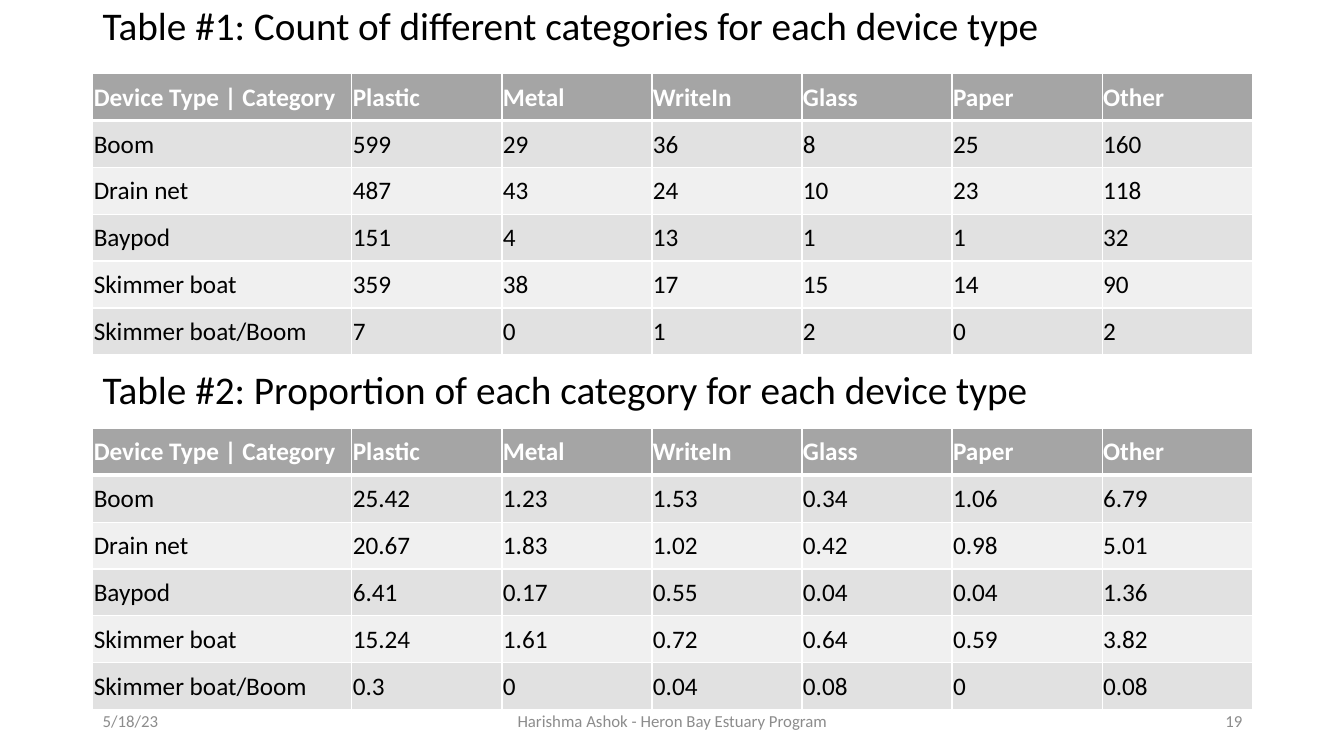
import pptx
import pptx.dml.color
import pptx.enum.text
import pptx.oxml
import pptx.oxml.ns
import pptx.util

Inches = pptx.util.Inches
Pt = pptx.util.Pt
Align = pptx.enum.text.PP_ALIGN
Anchor = pptx.enum.text.MSO_ANCHOR

FONT = "Calibri"
COLORS = {
    "title": "000000",
    "body": "000000",
    "footer": "8C8C8C",
    "header_text": "FFFFFF",
    "header": "A5A5A5",
    "odd_row": "E1E1E1",
    "even_row": "F0F0F0",
    "border": "FFFFFF",
}

LEFT, WIDTH = 0.92, 11.5
TABLE_HEIGHT = 2.79
DEVICE_WIDTH = 2.57

HEADINGS = ["Device Type | Category", "Plastic", "Metal", "WriteIn", "Glass", "Paper", "Other"]
DEVICES = ["Boom", "Drain net", "Baypod", "Skimmer boat", "Skimmer boat/Boom"]
COUNTS = [
    ["599", "29", "36", "8", "25", "160"],
    ["487", "43", "24", "10", "23", "118"],
    ["151", "4", "13", "1", "1", "32"],
    ["359", "38", "17", "15", "14", "90"],
    ["7", "0", "1", "2", "0", "2"],
]
PROPORTIONS = [
    ["25.42", "1.23", "1.53", "0.34", "1.06", "6.79"],
    ["20.67", "1.83", "1.02", "0.42", "0.98", "5.01"],
    ["6.41", "0.17", "0.55", "0.04", "0.04", "1.36"],
    ["15.24", "1.61", "0.72", "0.64", "0.59", "3.82"],
    ["0.3", "0", "0.04", "0.08", "0", "0.08"],
]


def color(name):
    return pptx.dml.color.RGBColor.from_string(COLORS[name])


def add_span(para, text, size, color_name, bold=False):
    span = para.add_run()
    span.text = text
    span.font.name = FONT
    span.font.size = Pt(size)
    span.font.bold = bold
    span.font.color.rgb = color(color_name)


def add_text(page, box, text, size, color_name, align=Align.LEFT, spacing=1.0):
    frame = page.shapes.add_textbox(*map(Inches, box)).text_frame
    frame.word_wrap = True
    frame.vertical_anchor = Anchor.MIDDLE
    para = frame.paragraphs[0]
    para.alignment = align
    para.line_spacing = spacing
    add_span(para, text, size, color_name)


def set_borders(cell, top, bottom):
    """Border lines come before the fill in the cell properties."""
    properties = cell._tc.get_or_add_tcPr()
    sides = {"lnL": 1, "lnR": 1, "lnT": top, "lnB": bottom}
    for position, (side, points) in enumerate(sides.items()):
        line = pptx.oxml.parse_xml(
            f'<a:{side} {pptx.oxml.ns.nsdecls("a")} w="{Pt(points)}"><a:solidFill>'
            f'<a:srgbClr val="{COLORS["border"]}"/></a:solidFill></a:{side}>'
        )
        properties.insert(position, line)


def style_cell(cell, text, row):
    if row == 0:
        fill, text_color = "header", "header_text"
    else:
        fill, text_color = ("odd_row" if row % 2 else "even_row"), "body"
    cell.fill.solid()
    cell.fill.fore_color.rgb = color(fill)
    cell.margin_left = cell.margin_top = cell.margin_right = Inches(0.01)
    cell.margin_bottom = 0
    cell.vertical_anchor = Anchor.MIDDLE
    add_span(cell.text_frame.paragraphs[0], text, 18, text_color, bold=row == 0)
    set_borders(cell, top=3 if row == 1 else 1, bottom=3 if row == 0 else 1)


def add_device_table(page, box, values):
    rows = [HEADINGS] + [[device] + line for device, line in zip(DEVICES, values)]
    table = page.shapes.add_table(len(rows), len(HEADINGS), *map(Inches, box)).table
    category_width = (box[2] - DEVICE_WIDTH) / (len(HEADINGS) - 1)
    for index, column in enumerate(table.columns):
        column.width = Inches(category_width if index else DEVICE_WIDTH)
    for row, texts in enumerate(rows):
        table.rows[row].height = Inches(box[3] / len(rows))
        for index, text in enumerate(texts):
            style_cell(table.cell(row, index), text, row)


def add_section(page, title_top, table_top, title, values):
    add_text(page, (LEFT, title_top, WIDTH, 0.53), title, 28, "title", spacing=0.9)
    add_device_table(page, (LEFT, table_top, WIDTH, TABLE_HEIGHT), values)


def add_footer(page, box):
    left, top, width, height = box
    side, middle = 3, 4.5
    parts = [
        (left, side, "5/18/23", Align.LEFT),
        (left + (width - middle) / 2, middle,
         "Harishma Ashok - Heron Bay Estuary Program", Align.CENTER),
        (left + width - side, side, "19", Align.RIGHT),
    ]
    for part_left, part_width, text, align in parts:
        add_text(page, (part_left, top, part_width, height), text, 12, "footer", align)


def main():
    deck = pptx.Presentation()
    deck.slide_width, deck.slide_height = Inches(13.33), Inches(7.5)
    page = deck.slides.add_slide(deck.slide_layouts[6])

    # Footer: date, author, page number
    add_footer(page, (LEFT, 6.95, WIDTH, 0.4))

    # Two titled tables
    add_section(page, 0.01, 0.73,
                "Table #1: Count of different categories for each device type", COUNTS)
    add_section(page, 3.62, 4.25,
                "Table #2: Proportion of each category for each device type", PROPORTIONS)

    deck.save("out.pptx")


if __name__ == "__main__":
    main()
